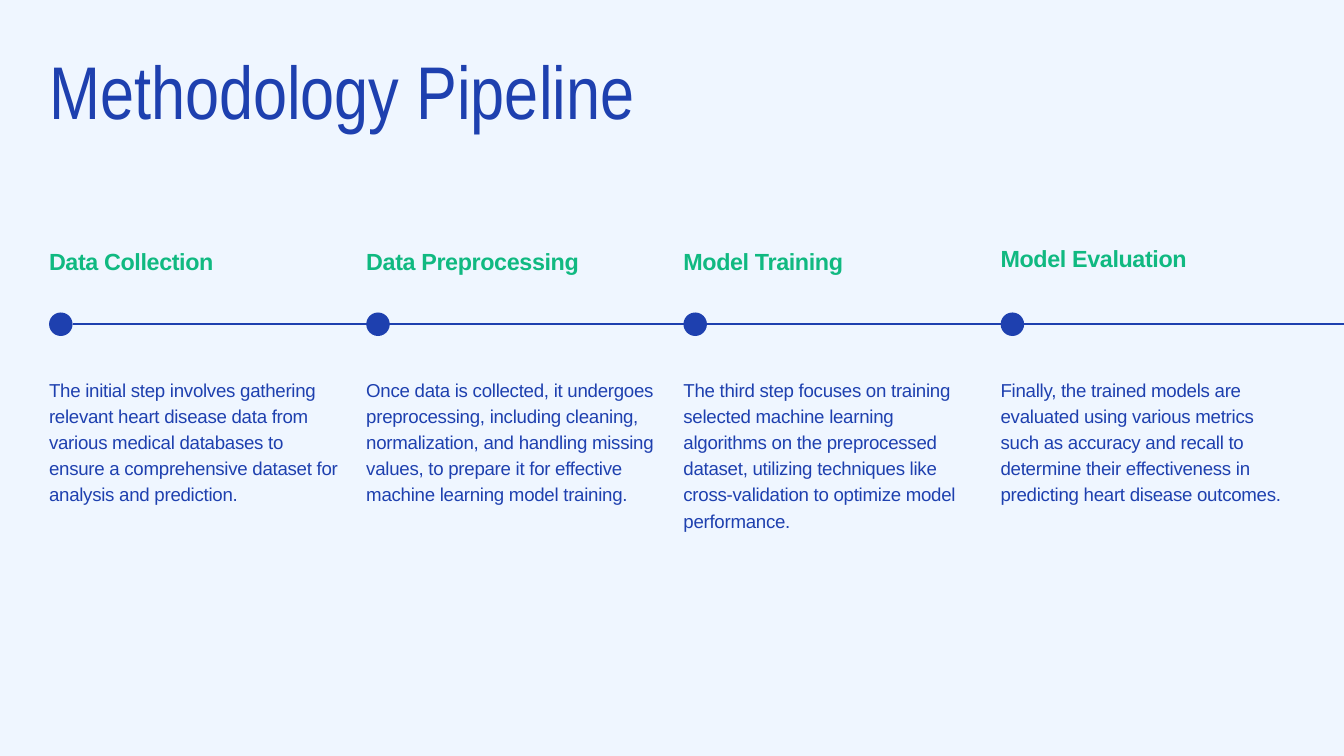
from dataclasses import dataclass

from pptx import Presentation
from pptx.dml.color import RGBColor
from pptx.enum.shapes import MSO_CONNECTOR as Connector, MSO_SHAPE as Shape
from pptx.enum.text import MSO_AUTO_SIZE as AutoSize
from pptx.oxml.ns import qn
from pptx.slide import Slide
from pptx.util import Emu, Pt
from lxml.etree import SubElement

EMU_PER_PX = 9144


@dataclass(frozen=True)
class TextStyle:
    font: str
    size: int
    line_height: int
    color: RGBColor
    bold: bool = False
    tracking: int = 0


@dataclass(frozen=True)
class Theme:
    background: RGBColor
    accent: RGBColor
    title: TextStyle
    heading: TextStyle
    body: TextStyle


@dataclass(frozen=True)
class Step:
    heading: str
    description: str
    heading_top: int = 368
    description_height: int = 191


BLUE = RGBColor.from_string("1E40AF")
GREEN = RGBColor.from_string("10B981")
THEME = Theme(
    background=RGBColor.from_string("EFF6FF"),
    accent=BLUE,
    title=TextStyle("Arial Narrow", 80, 80, BLUE),
    heading=TextStyle("Arial", 25, 30, GREEN, bold=True, tracking=-40),
    body=TextStyle("Arial", 20, 28, BLUE, tracking=-30),
)

SLIDE_WIDTH, SLIDE_HEIGHT = 2000, 1125
MARGIN = 73
STEP_PITCH = 472
STEP_WIDTH = 438
DOT_SIZE = 35
TIMELINE_Y = 482
TIMELINE_END = 2034
DESCRIPTION_TOP = 558

STEPS = [
    Step(
        "Data Collection",
        "The initial step involves gathering relevant heart disease data from various "
        "medical databases to ensure a comprehensive dataset for analysis and prediction.",
    ),
    Step(
        "Data Preprocessing",
        "Once data is collected, it undergoes preprocessing, including cleaning, "
        "normalization, and handling missing values, to prepare it for effective "
        "machine learning model training.",
    ),
    Step(
        "Model Training",
        "The third step focuses on training selected machine learning algorithms on the "
        "preprocessed dataset, utilizing techniques like cross-validation to optimize "
        "model performance.",
        description_height=230,
    ),
    Step(
        "Model Evaluation",
        "Finally, the trained models are evaluated using various metrics such as accuracy "
        "and recall to determine their effectiveness in predicting heart disease outcomes.",
        heading_top=363,
    ),
]


def px(length: int) -> Emu:
    return Emu(length * EMU_PER_PX)


def add_text(slide: Slide, text: str, style: TextStyle,
             left: int, top: int, width: int, height: int) -> None:
    frame = slide.shapes.add_textbox(px(left), px(top), px(width), px(height)).text_frame
    frame.margin_left = frame.margin_top = frame.margin_right = frame.margin_bottom = 0
    frame.word_wrap = True
    frame.auto_size = AutoSize.SHAPE_TO_FIT_TEXT
    paragraph = frame.paragraphs[0]
    paragraph.line_spacing = Pt(style.line_height)
    paragraph.font.name = style.font
    paragraph.font.size = Pt(style.size)
    paragraph.font.bold = style.bold
    paragraph.font.color.rgb = style.color
    run = paragraph.add_run()
    run.text = text
    if style.tracking:
        run._r.get_or_add_rPr().set("spc", str(style.tracking))


def add_timeline(slide: Slide) -> None:
    timeline = slide.shapes.add_connector(
        Connector.STRAIGHT, px(MARGIN + DOT_SIZE), px(TIMELINE_Y),
        px(TIMELINE_END), px(TIMELINE_Y),
    )
    timeline.line.color.rgb = THEME.accent
    timeline.line.width = Pt(1.5)
    SubElement(timeline._element.spPr, qn("a:effectLst"))


def add_step(slide: Slide, step: Step, left: int) -> None:
    add_text(slide, step.heading, THEME.heading, left, step.heading_top, STEP_WIDTH, 43)
    add_text(slide, step.description, THEME.body, left, DESCRIPTION_TOP,
             STEP_WIDTH, step.description_height)
    dot = slide.shapes.add_shape(
        Shape.OVAL, px(left), px(TIMELINE_Y - DOT_SIZE // 2), px(DOT_SIZE), px(DOT_SIZE)
    )
    dot.shadow.inherit = False
    dot.fill.solid()
    dot.fill.fore_color.rgb = THEME.accent
    dot.line.fill.background()


def main() -> None:
    presentation = Presentation()
    presentation.slide_width = px(SLIDE_WIDTH)
    presentation.slide_height = px(SLIDE_HEIGHT)
    slide = presentation.slides.add_slide(presentation.slide_layouts[6])
    slide.background.fill.solid()
    slide.background.fill.fore_color.rgb = THEME.background

    add_text(slide, "Methodology Pipeline", THEME.title,
             MARGIN, 89, SLIDE_WIDTH - 2 * MARGIN, 117)
    add_timeline(slide)
    for index, step in enumerate(STEPS):
        add_step(slide, step, MARGIN + index * STEP_PITCH)

    presentation.save("out.pptx")


if __name__ == "__main__":
    main()
